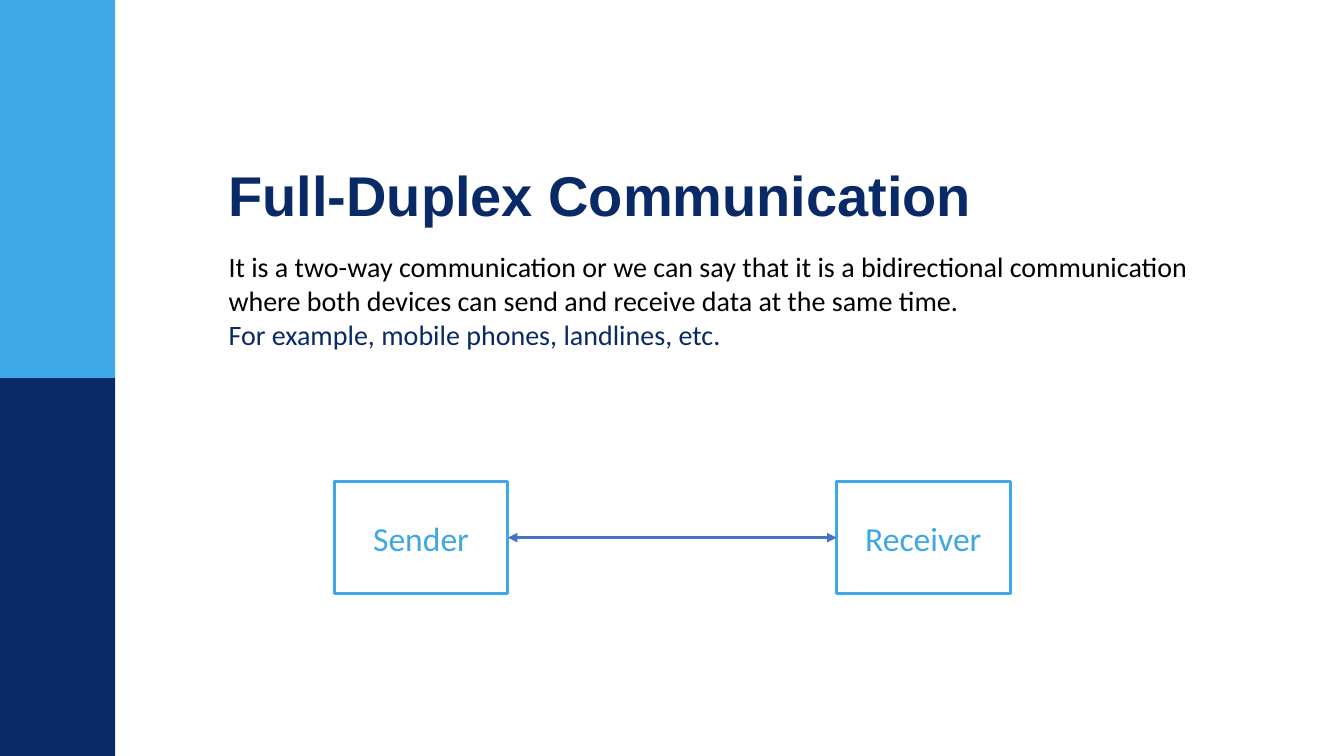
from dataclasses import dataclass
from typing import Optional

import lxml.etree
import pptx
import pptx.dml.color
import pptx.enum.shapes
import pptx.enum.text
import pptx.oxml.ns
import pptx.util

Pt = pptx.util.Pt
RGBColor = pptx.dml.color.RGBColor
qn = pptx.oxml.ns.qn

SKY = RGBColor(0x3E, 0xA8, 0xE6)
NAVY = RGBColor(0x09, 0x2A, 0x67)
BLACK = RGBColor(0, 0, 0)
ARROW_BLUE = RGBColor(0x44, 0x72, 0xC4)

SLIDE_WIDTH, SLIDE_HEIGHT = 960, 540
BAND_WIDTH = 82.2
TEXT_LEFT = 156.2
DEVICE_TOP, DEVICE_WIDTH, DEVICE_HEIGHT = 344, 124, 80
LINE_WIDTH = 2.25


@dataclass(frozen=True)
class Box:
    left: float
    top: float
    width: float
    height: float
    fill: Optional[RGBColor] = None
    line: Optional[RGBColor] = None
    label: str = ""


@dataclass(frozen=True)
class TextLine:
    text: str
    size: float
    color: RGBColor
    font: str = "Calibri"
    bold: bool = False


BANDS = [
    Box(0, row * SLIDE_HEIGHT / 2, BAND_WIDTH, SLIDE_HEIGHT / 2, fill=color)
    for row, color in enumerate((SKY, NAVY))
]
SENDER, RECEIVER = [
    Box(left, DEVICE_TOP, DEVICE_WIDTH, DEVICE_HEIGHT, line=SKY, label=label)
    for left, label in ((238.8, "Sender"), (597.6, "Receiver"))
]
TITLE = [TextLine("Full-Duplex Communication", 40, NAVY, "Arial", True)]
BODY = [
    TextLine("It is a two-way communication or we can say that it is a "
             "bidirectional communication", 20, BLACK),
    TextLine("where both devices can send and receive data at the same time.",
             20, BLACK),
    TextLine("For example, mobile phones, landlines, etc.", 20, NAVY),
]


def write_lines(text_frame: pptx.text.text.TextFrame, lines: list[TextLine]) -> None:
    text_frame.text = "\n".join(line.text for line in lines)
    for paragraph, line in zip(text_frame.paragraphs, lines):
        font = paragraph.runs[0].font
        font.name = line.font
        font.size = Pt(line.size)
        font.bold = line.bold
        font.color.rgb = line.color


def add_box(slide: pptx.slide.Slide, box: Box) -> None:
    shape = slide.shapes.add_shape(
        pptx.enum.shapes.MSO_SHAPE.RECTANGLE,
        Pt(box.left), Pt(box.top), Pt(box.width), Pt(box.height))
    shape.shadow.inherit = False
    if box.fill is None:
        shape.fill.background()
    else:
        shape.fill.solid()
        shape.fill.fore_color.rgb = box.fill
    if box.line is None:
        shape.line.fill.background()
    else:
        shape.line.color.rgb = box.line
        shape.line.width = Pt(LINE_WIDTH)
    if box.label:
        write_lines(shape.text_frame, [TextLine(box.label, 24, SKY)])
        shape.text_frame.vertical_anchor = pptx.enum.text.MSO_ANCHOR.MIDDLE
        shape.text_frame.paragraphs[0].alignment = pptx.enum.text.PP_ALIGN.CENTER


def add_text(slide: pptx.slide.Slide, top: float, width: float, height: float,
             lines: list[TextLine]) -> None:
    text_box = slide.shapes.add_textbox(
        Pt(TEXT_LEFT), Pt(top), Pt(width), Pt(height))
    text_frame = text_box.text_frame
    text_frame.word_wrap = False
    text_frame.auto_size = pptx.enum.text.MSO_AUTO_SIZE.SHAPE_TO_FIT_TEXT
    write_lines(text_frame, lines)


def add_two_way_arrow(slide: pptx.slide.Slide, start: Box, end: Box) -> None:
    """Join the facing sides of two boxes, with an arrowhead at each end."""
    middle = Pt(start.top + start.height / 2)
    connector = slide.shapes.add_connector(
        pptx.enum.shapes.MSO_CONNECTOR.STRAIGHT,
        Pt(start.left + start.width), middle, Pt(end.left), middle)
    connector.line.color.rgb = ARROW_BLUE
    connector.line.width = Pt(LINE_WIDTH)
    outline = connector.line._get_or_add_ln()
    for tag in ("a:headEnd", "a:tailEnd"):
        lxml.etree.SubElement(outline, qn(tag), type="triangle")
    lxml.etree.SubElement(connector._element.spPr, qn("a:effectLst"))


def main() -> None:
    presentation = pptx.Presentation()
    presentation.slide_width = Pt(SLIDE_WIDTH)
    presentation.slide_height = Pt(SLIDE_HEIGHT)
    slide = presentation.slides.add_slide(presentation.slide_layouts[6])
    for band in BANDS:
        add_box(slide, band)
    add_text(slide, 111, 553, 55.4, TITLE)
    add_text(slide, 175, 710.6, 80, BODY)
    for device in (SENDER, RECEIVER):
        add_box(slide, device)
    add_two_way_arrow(slide, SENDER, RECEIVER)
    presentation.save("out.pptx")


if __name__ == "__main__":
    main()
